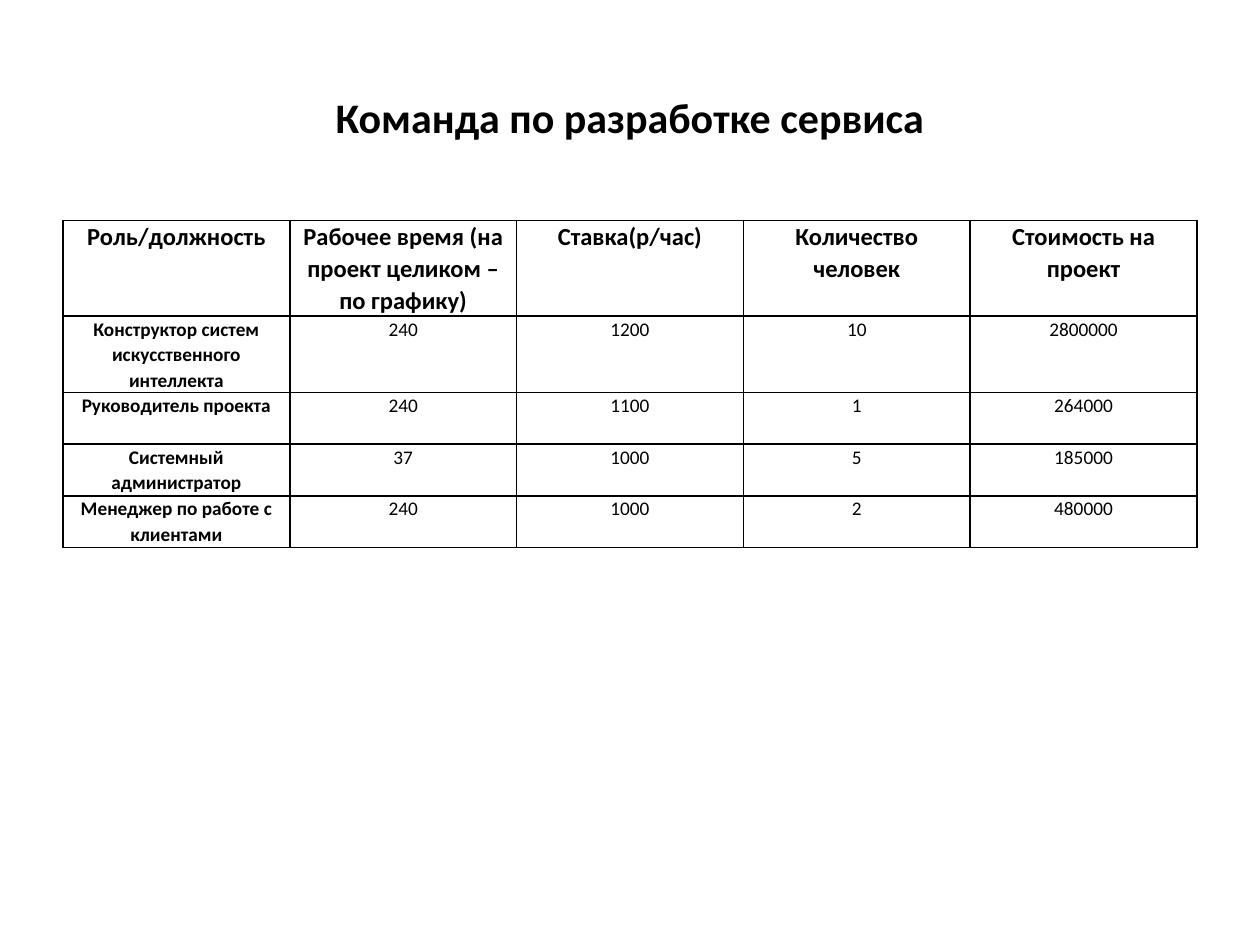
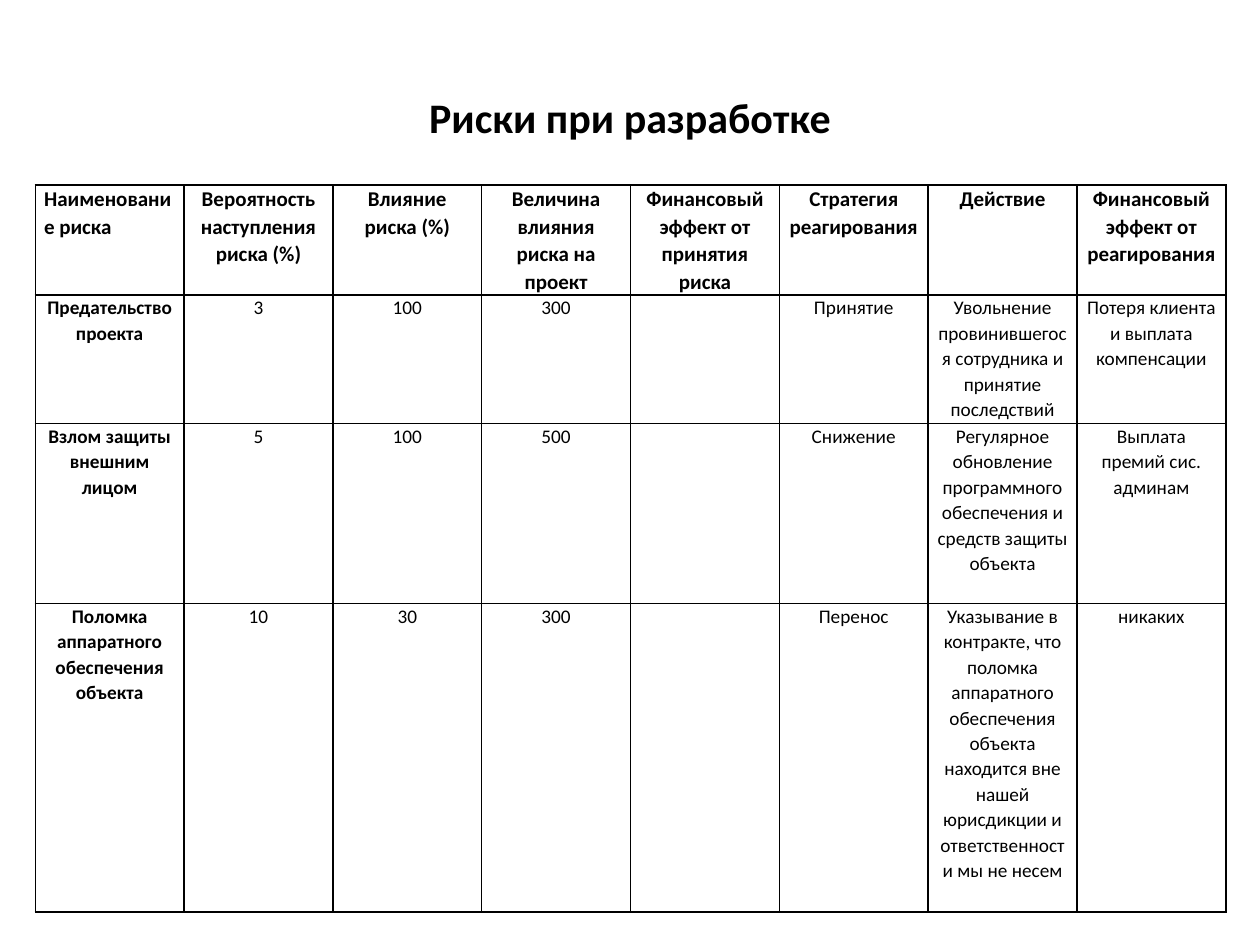
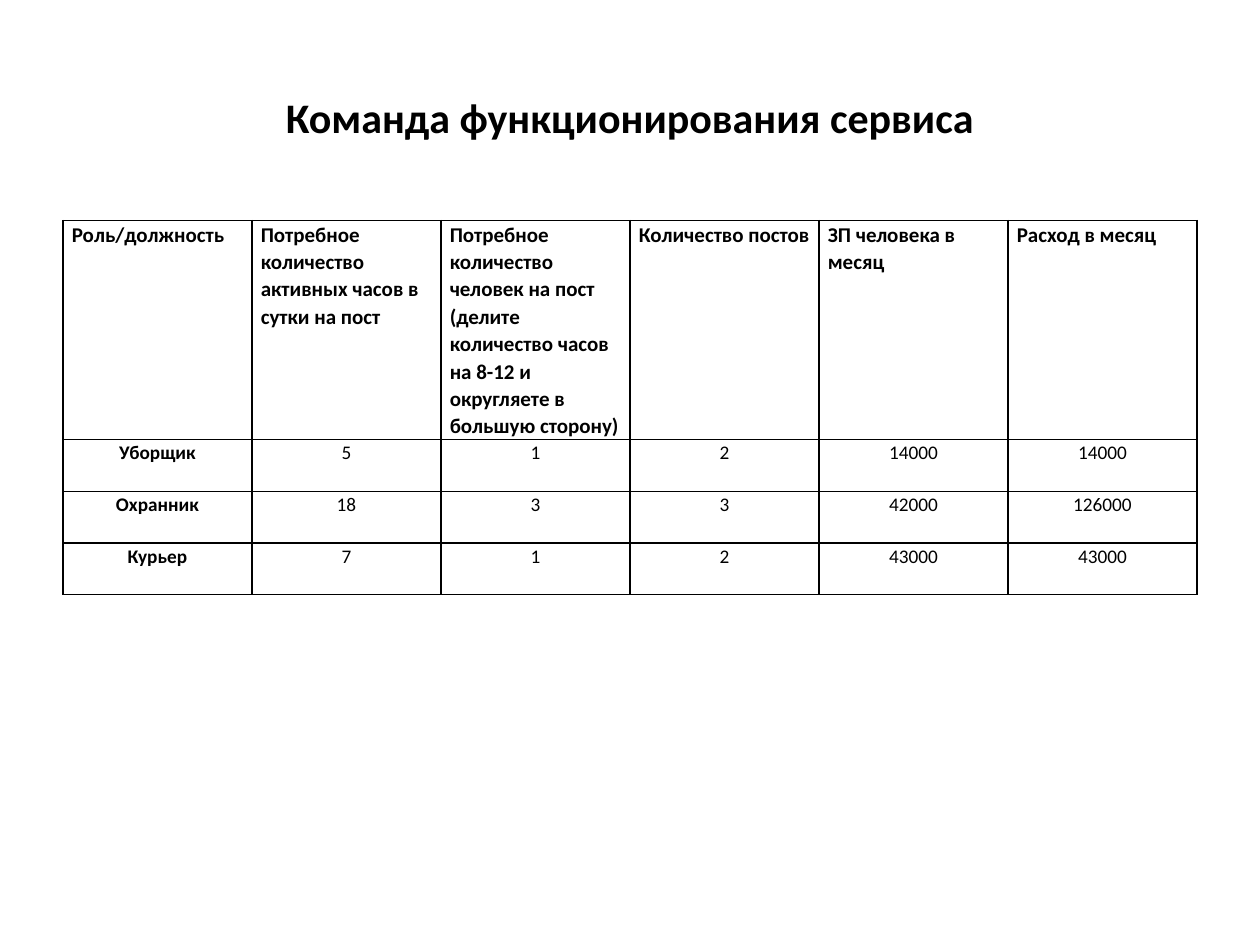
from dataclasses import dataclass

from lxml.etree import SubElement
from pptx import Presentation
from pptx.dml.color import RGBColor
from pptx.enum.text import MSO_ANCHOR, PP_ALIGN
from pptx.oxml.ns import qn
from pptx.util import Inches, Pt


@dataclass(frozen=True)
class Theme:
    font: str = "Calibri"
    ink: str = "000000"
    title_size: int = 24
    body_size: int = 11
    line_spacing: float = 1.07
    cell_margin: float = 0.07
    border_width: int = 1


@dataclass(frozen=True)
class Box:
    left: float
    top: float
    width: float
    height: float = 0

    def lengths(self):
        return [Inches(v) for v in (self.left, self.top, self.width, self.height)]


THEME = Theme()
TITLE_BOX = Box(0.5, 0.3, 9, 1.25)
TEAM_BOX = Box(0.5, 1.75, 9)
RISK_BOX = Box(0.28, 1.47, 9.45)
ROW_HEIGHT = 0.41

DEVELOPMENT_TEAM = [
    ["Роль/должность", "Рабочее время (на проект целиком – по графику)",
     "Ставка(р/час)", "Количество человек", "Стоимость на проект"],
    ["Конструктор систем искусственного интеллекта", "240", "1200", "10", "2800000"],
    ["Руководитель проекта", "240", "1100", "1", "264000"],
    ["Системный администратор", "37", "1000", "5", "185000"],
    ["Менеджер по работе с клиентами", "240", "1000", "2", "480000"],
]

RISKS = [
    ["Наименование риска", "Вероятность наступления риска (%)", "Влияние риска (%)",
     "Величина влияния риска на проект", "Финансовый эффект от принятия риска",
     "Стратегия реагирования", "Действие", "Финансовый эффект от реагирования"],
    ["Предательство проекта", "3", "100", "300", "", "Принятие",
     "Увольнение провинившегося сотрудника и принятие последствий",
     "Потеря клиента и выплата компенсации"],
    ["Взлом защиты внешним лицом", "5", "100", "500", "", "Снижение",
     "Регулярное обновление программного обеспечения и средств защиты объекта",
     "Выплата премий сис. админам"],
    ["Поломка аппаратного обеспечения объекта", "10", "30", "300", "", "Перенос",
     "Указывание в контракте, что поломка аппаратного обеспечения объекта "
     "находится вне нашей юрисдикции и ответственности мы не несем", "никаких"],
]
RISK_ROW_HEIGHTS = [0.87, 1.02, 1.43, 2.45]

SERVICE_TEAM = [
    ["Роль/должность", "Потребное количество активных часов в сутки на пост",
     "Потребное\nколичество\nчеловек на пост\n(делите\nколичество часов\n"
     "на 8-12 и\nокругляете в\nбольшую сторону)",
     "Количество постов", "ЗП человека в месяц", "Расход в месяц"],
    ["Уборщик", "5", "1", "2", "14000", "14000"],
    ["Охранник", "18", "3", "3", "42000", "126000"],
    ["Курьер", "7", "1", "2", "43000", "43000"],
]


def add_span(para, text, size, bold):
    span = para.add_run()
    span.text = text
    span.font.name = THEME.font
    span.font.size = Pt(size)
    span.font.bold = bold
    span.font.color.rgb = RGBColor.from_string(THEME.ink)


def add_page(deck, title):
    """Add a title-only page with the shared title style."""
    page = deck.slides.add_slide(deck.slide_layouts[5])
    holder = page.shapes.title
    holder.left, holder.top, holder.width, holder.height = TITLE_BOX.lengths()
    frame = holder.text_frame
    frame.vertical_anchor = MSO_ANCHOR.MIDDLE
    para = frame.paragraphs[0]
    para.alignment = PP_ALIGN.CENTER
    add_span(para, title, THEME.title_size, True)
    return page


def add_borders(cell):
    properties = cell._tc.get_or_add_tcPr()
    for side in ("lnL", "lnR", "lnT", "lnB"):
        line = SubElement(properties, qn(f"a:{side}"), w=str(Pt(THEME.border_width)))
        fill = SubElement(line, qn("a:solidFill"))
        SubElement(fill, qn("a:srgbClr"), val=THEME.ink)


def fill_cell(cell, text, size, bold, align):
    # Borders come before the fill in the cell properties
    add_borders(cell)
    cell.fill.background()
    cell.margin_left = cell.margin_right = Inches(THEME.cell_margin)
    cell.margin_top = cell.margin_bottom = 0
    frame = cell.text_frame
    for index, line in enumerate(text.split("\n")):
        para = frame.add_paragraph() if index else frame.paragraphs[0]
        para.alignment = align
        para.line_spacing = THEME.line_spacing
        para.font.size = Pt(size)
        if line:
            add_span(para, line, size, bold)


def add_grid(page, box, rows, heights, header_size, left_headers=0):
    """Fill the box with equal columns; the first left_headers headings align left."""
    count = len(rows[0])
    frame = page.shapes.add_table(len(rows), count, Inches(box.left), Inches(box.top),
                                  Inches(box.width), Inches(sum(heights)))
    table = frame.table
    table.horz_banding = False
    for column in table.columns:
        column.width = Inches(box.width / count)
    for r, (texts, height) in enumerate(zip(rows, heights)):
        table.rows[r].height = Inches(height)
        for c, text in enumerate(texts):
            is_header = r == 0
            align = PP_ALIGN.LEFT if is_header and c < left_headers else PP_ALIGN.CENTER
            size = header_size if is_header else THEME.body_size
            fill_cell(table.cell(r, c), text, size, is_header or c == 0, align)


def main():
    deck = Presentation()
    deck.slide_width, deck.slide_height = Inches(10), Inches(7.5)

    # Development team
    page = add_page(deck, "Команда по разработке сервиса")
    add_grid(page, TEAM_BOX, DEVELOPMENT_TEAM, [ROW_HEIGHT] * len(DEVELOPMENT_TEAM), 14)

    # Risks
    page = add_page(deck, "Риски при разработке")
    add_grid(page, RISK_BOX, RISKS, RISK_ROW_HEIGHTS, 12, left_headers=1)

    # Service team
    page = add_page(deck, "Команда функционирования сервиса")
    add_grid(page, TEAM_BOX, SERVICE_TEAM, [ROW_HEIGHT] * len(SERVICE_TEAM), 12,
             left_headers=len(SERVICE_TEAM[0]))

    deck.save("out.pptx")


if __name__ == "__main__":
    main()
